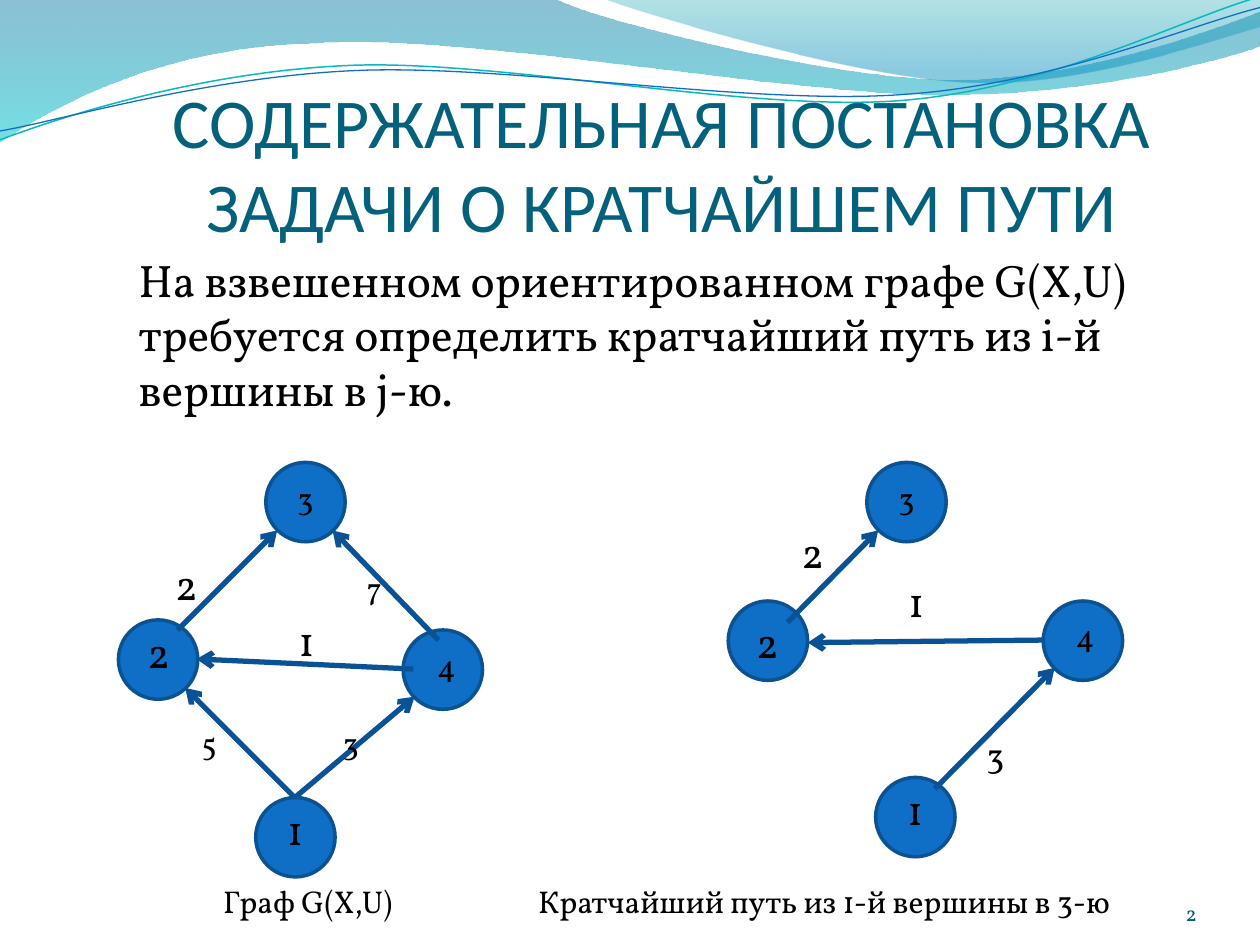
from dataclasses import dataclass

from lxml import etree
from pptx import Presentation
from pptx import util as u
from pptx.dml.color import RGBColor
from pptx.enum import shapes, text
from pptx.oxml.ns import qn


@dataclass(frozen=True)
class Theme:
    """Colours, fonts and type sizes of the slide."""
    title: str = "04617B"
    ink: str = "000000"
    number: str = "045D75"
    node: str = "0F6FC6"
    node_line: str = "0B5292"
    edge: str = "095295"
    head_font: str = "Calibri"
    body_font: str = "Vollkorn"
    title_size: int = 40
    body_size: int = 26
    big: int = 24
    medium: int = 20
    small: int = 18
    tiny: int = 12


T = Theme()
ALIGN = text.PP_ALIGN
ANCHOR = text.MSO_ANCHOR
NODE_SIZE = 0.63

# Header bands: start point, segments (2 numbers = line, 6 = curve), stops.
BANDS = [
    ((0, 0), [(4.4, -0.01), (4.76, 0.17, 6.64, 0.63, 7.58, 0.63),
              (8.53, 0.63, 9.58, 0.26, 10, 0.09), (10.01, 0.36),
              (9.83, 0.44, 8.7, 0.76, 7.46, 0.75),
              (6.22, 0.75, 3.82, 0.28, 2.57, 0.34),
              (1.29, 0.36, 0.46, 0.83, -0.01, 1.13), (0, 0)],
     [(0, "0074A1", 45), (1, "00C6CF", 55)]),
    ((4.79, -0.01), [(5.09, 0.11, 6.82, 0.62, 7.69, 0.65),
                     (8.56, 0.69, 9.61, 0.32, 10, 0.21), (10, 0),
                     (4.79, -0.01)],
     [(0, "00A1A9", 30), (0.8, "008BBF", 45)]),
]
# Header waves: start point, curves, colour, width.
WAVES = [
    ((0, 1.11), [(0.48, 0.93, 1.58, 0.57, 2.77, 0.52),
                 (3.95, 0.47, 5.93, 0.89, 7.13, 0.8),
                 (8.33, 0.71, 9.38, 0.15, 9.98, -0.02)], "0AB8BF", 0.85),
    ((0, 1.04), [(0.47, 0.96, 1.64, 0.61, 2.83, 0.56),
                 (4.03, 0.51, 5.97, 0.84, 7.17, 0.75),
                 (8.36, 0.67, 9.41, 0.21, 10, 0.06)], "0F6FC6", 0.75),
]
NODES = [(2.11, 3.67), (3.2, 5), (6.95, 6.17), (8.28, 4.77),
         (5.78, 4.77), (6.88, 3.67), (0.94, 4.92), (2.03, 6.33)]
EDGES = [(2.34, 6.33, 1.47, 5.46), (2.34, 6.33, 3.29, 5.53),
         (1.41, 5, 2.2, 4.21), (3.48, 5.08, 2.64, 4.21),
         (3.28, 5.31, 1.56, 5.23), (7.42, 6.26, 8.37, 5.3),
         (8.28, 5.08, 6.41, 5.1), (6.25, 4.94, 6.97, 4.21)]
# Labels: box, top inset, pieces (words, offset in the box, size).
NODE_LABELS = [
    ((2.03, 6.33, 0.63, 0.5), 0.05, [("1", 0.25, T.big)]),
    ((0.86, 4.92, 0.63, 0.5), 0.05, [("2", 0.31, T.big)]),
    ((2.11, 3.75, 0.63, 0.4), 0.05, [("3", 0.25, T.small)]),
    ((3.12, 5.08, 0.7, 0.4), 0.05, [("4", 0.35, T.small)]),
    ((6.95, 6.17, 0.63, 0.5), 0.05, [("1", 0.25, T.big)]),
    ((5.63, 4.84, 0.78, 0.5), 0.05, [("2", 0.37, T.big)]),
    ((6.88, 3.75, 0.63, 0.4), 0.05, [("3", 0.25, T.small)]),
    ((8.28, 4.84, 0.7, 0.4), 0.05, [("4", 0.26, T.small)]),
]
EDGE_LABELS = [
    ((1.02, 4.38, 2.81, 0.5), 0.05, [("2", 0.37, T.big), ("7", 1.89, T.small)]),
    ((1.25, 5.7, 2.5, 0.4), 0.05, [("5", 0.35, T.small), ("3", 1.47, T.small)]),
    ((2.27, 4.53, 0.55, 0.81), 0.35, [("1", 0.1, T.big)]),
    ((7.11, 4.22, 0.55, 0.81), 0.35, [("1", 0.1, T.big)]),
    ((6.25, 3.83, 0.55, 0.81), 0.35, [("2", 0.11, T.big)]),
    ((7.73, 5.47, 0.55, 0.74), 0.35, [("3", 0.1, T.medium)]),
]
CAPTIONS = ((0.62, 6.95, 9.38, 0.4), 0.05,
            [("Граф G(X,U)", 1.15, T.small),
             ("Кратчайший путь из 1-й вершины в 3-ю", 3.65, T.small)])


def rgb(value):
    """Turn a hex string into a colour."""
    return RGBColor.from_string(value)


def style(r, size, color=T.ink, font=T.body_font):
    """Format one run."""
    r.font.size, r.font.name = u.Pt(size), font
    r.font.color.rgb = rgb(color)


def write(sp, words, insets, align=ALIGN.LEFT, anchor=ANCHOR.TOP):
    """Put one paragraph into a shape and return it."""
    tf = sp.text_frame
    tf.word_wrap = True
    tf.auto_size = text.MSO_AUTO_SIZE.NONE
    tf.vertical_anchor = anchor
    (tf.margin_left, tf.margin_top,
     tf.margin_right, tf.margin_bottom) = map(u.Inches, insets)
    p = tf.paragraphs[0]
    p.text = words
    p.alignment = align
    return p


def add_box(s, box, words, insets, **place):
    """Add a text box and return its paragraph."""
    return write(s.shapes.add_textbox(*map(u.Inches, box)), words, insets, **place)


def add_label(s, box, top, pieces):
    """Add a line of pieces, the later ones set at tab stops."""
    (first, left, size), *others = pieces
    p = add_box(s, box, first, (left, top, 0, 0))
    style(p.runs[0], size)
    if others:
        tabs = etree.SubElement(p._p.get_or_add_pPr(), qn("a:tabLst"))
    for words, x, size in others:
        tab = etree.SubElement(tabs, qn("a:tab"))
        tab.set("pos", str(u.Inches(x - left)))
        tab.set("algn", "l")
        r = p.add_run()
        r.text = "\t" + words
        style(r, size)


def add_outline(s, start, segments, close):
    """Add a freeform of lines and cubic curves, without a shadow."""
    points = [(u.Inches(seg[i]), u.Inches(seg[i + 1]))
              for seg in segments for i in range(0, len(seg), 2)]
    fb = s.shapes.build_freeform(*map(u.Inches, start))
    fb.add_line_segments(points, close=close)
    sp = fb.convert_to_shape()
    sp.shadow.inherit = False
    steps = iter(list(sp.element.iter(qn("a:lnTo"))))
    for seg in segments:
        parts = [next(steps) for _ in range(len(seg) // 2)]
        if len(parts) == 3:
            curve = etree.Element(qn("a:cubicBezTo"))
            parts[0].addprevious(curve)
            for part in parts:
                curve.append(part[0])
                part.getparent().remove(part)
    return sp


def add_band(s, start, segments, stops):
    """Add a header band with a translucent downward gradient."""
    sp = add_outline(s, start, segments, True)
    sp.line.fill.background()
    sp.fill.gradient()
    sp.fill.gradient_angle = 270
    for stop, (position, color, _) in zip(sp.fill.gradient_stops, stops):
        stop.position, stop.color.rgb = position, rgb(color)
    colors = list(sp.element.spPr.iter(qn("a:srgbClr")))
    for clr, (_, _, alpha) in zip(colors, stops):
        etree.SubElement(clr, qn("a:alpha")).set("val", str(alpha * 1000))


def add_wave(s, start, segments, color, width):
    """Add a thin header curve."""
    sp = add_outline(s, start, segments, False)
    sp.fill.background()
    sp.line.color.rgb, sp.line.width = rgb(color), u.Pt(width)


def add_node(s, left, top):
    """Add a graph vertex."""
    box = map(u.Inches, (left, top, NODE_SIZE, NODE_SIZE))
    sp = s.shapes.add_shape(shapes.MSO_SHAPE.OVAL, *box)
    sp.shadow.inherit = False
    sp.fill.solid()
    sp.fill.fore_color.rgb = rgb(T.node)
    sp.line.color.rgb, sp.line.width = rgb(T.node_line), u.Pt(2)


def add_edge(s, *ends):
    """Add an arrow between two points."""
    c = s.shapes.add_connector(shapes.MSO_CONNECTOR.STRAIGHT, *map(u.Inches, ends))
    c.line.color.rgb, c.line.width = rgb(T.edge), u.Pt(3)
    ln = c.element.spPr.find(qn("a:ln"))
    etree.SubElement(ln, qn("a:tailEnd")).set("type", "arrow")
    etree.SubElement(c.element.spPr, qn("a:effectLst"))


def add_title(s, words):
    """Place the title in front of the header."""
    title = s.shapes.title
    title.element.getparent().append(title.element)
    title.left, title.top, title.width, title.height = map(
        u.Inches, (1, 0.56, 8.5, 1.4))
    p = write(title, words, (0, 0.05, 0, 0), ALIGN.CENTER, ANCHOR.BOTTOM)
    style(p.runs[0], T.title_size, T.title, T.head_font)


def main():
    """Build and save the slide."""
    prs = Presentation()
    prs.slide_width, prs.slide_height = u.Inches(10), u.Inches(7.5)
    s = prs.slides.add_slide(prs.slide_layouts[5])
    for band in BANDS:
        add_band(s, *band)
    for wave in WAVES:
        add_wave(s, *wave)
    add_title(s, "СОДЕРЖАТЕЛЬНАЯ ПОСТАНОВКА ЗАДАЧИ О КРАТЧАЙШЕМ ПУТИ")
    p = add_box(s, (0.7, 1.95, 8.8, 5),
                "На взвешенном ориентированном графе G(X,U) требуется "
                "определить кратчайший путь из i-й вершины в j-ю.",
                (0.4, 0.05, 0.1, 0.05))
    p.space_before = u.Pt(5.2)
    style(p.runs[0], T.body_size)
    for add, rows in ((add_node, NODES), (add_label, NODE_LABELS),
                      (add_edge, EDGES), (add_label, EDGE_LABELS)):
        for row in rows:
            add(s, *row)
    add_label(s, *CAPTIONS)
    p = add_box(s, (8.67, 6.95, 0.83, 0.4), "2", (0, 0, 0, 0),
                align=ALIGN.RIGHT, anchor=ANCHOR.BOTTOM)
    style(p.runs[0], T.tiny, T.number)
    prs.save("out.pptx")


main()
